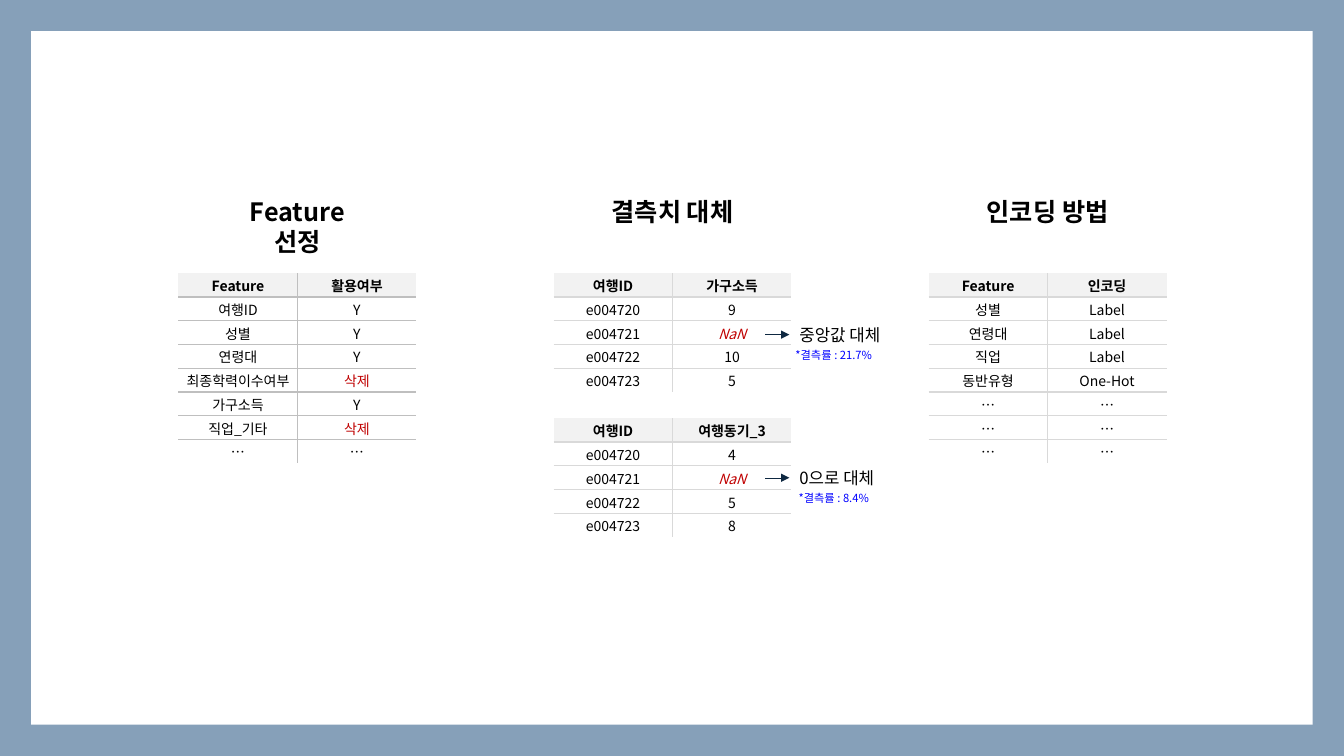
from pptx import Presentation
from pptx.dml.color import RGBColor
from pptx.enum.shapes import MSO_CONNECTOR, MSO_SHAPE
from pptx.enum.text import MSO_ANCHOR, MSO_AUTO_SIZE, PP_ALIGN
from pptx.oxml.ns import qn
from pptx.util import Inches, Pt
from lxml.etree import SubElement

FONT = "Noto Sans CJK KR"
WIDTH, HEIGHT, MARGIN = 13.33, 7.5, 0.31
LEFT, STEP, CELL_W = 1.77, 3.72, 1.18
ROW_H = CELL_W / 5
TABLE_TOP = 2.71
NO_STYLE = "{2D5ABB26-0587-4C30-8999-92F81FD0307C}"
CELL_FORMAT = {
    "vertical_anchor": MSO_ANCHOR.MIDDLE,
    "margin_left": Inches(0.01),
    "margin_right": Inches(0.01),
    "margin_top": Inches(0.01),
    "margin_bottom": 0,
}
RED_ITALIC = {"NaN": {"color": "C00000", "italic": True}, "삭제": {"color": "C00000"}}


def rgb(code):
    """Turn a hex string into a colour."""
    return RGBColor.from_string(code)


def column_left(column):
    """Give the left edge of one of the three columns."""
    return LEFT + STEP * column


def box(left, top, width, height):
    """Turn inches into a position and a size."""
    return [Inches(v) for v in (left, top, width, height)]


def write(tf, text, size, color="000000", align=PP_ALIGN.CENTER, **font):
    """Write one formatted paragraph into a text frame."""
    p = tf.paragraphs[0]
    p.alignment = align
    r = p.add_run()
    r.text = text
    r.font.color.rgb = rgb(color)
    for name, value in {"name": FONT, "size": Pt(size), **font}.items():
        setattr(r.font, name, value)
    SubElement(r.font._element, qn("a:ea"), typeface=FONT)


def add_text(s, place, text, size, wrap=False, **style):
    """Add a text box."""
    sp = s.shapes.add_textbox(*box(*place))
    sp.text_frame.word_wrap = wrap
    sp.text_frame.auto_size = MSO_AUTO_SIZE.NONE
    write(sp.text_frame, text, size, **style)
    return sp


def add_heading(s, column, text):
    """Add a bold heading centred over a column."""
    width = 1.61
    left = column_left(column) + CELL_W - width / 2
    add_text(s, (left, 1.9, width, 0.4), text, 18, wrap=True, bold=True)


def add_borders(cell, sides, color):
    """Draw one-point lines on the given sides of a cell."""
    tc_pr = cell._tc.get_or_add_tcPr()
    for side in sides:
        ln = SubElement(tc_pr, qn(f"a:ln{side}"), w=str(Pt(1)))
        fill = SubElement(ln, qn("a:solidFill"))
        SubElement(fill, qn("a:srgbClr"), val=color)


def add_grid(s, column, top, rows, color="D9D9D9"):
    """Add a two-column table that has inner lines only."""
    place = box(column_left(column), top, 2 * CELL_W, ROW_H * len(rows))
    table = s.shapes.add_table(len(rows), 2, *place).table
    table.horz_banding = False
    table._tbl.tblPr.find(qn("a:tableStyleId")).text = NO_STYLE
    for i, row in enumerate(rows):
        for j, text in enumerate(row):
            cell = table.cell(i, j)
            for name, value in CELL_FORMAT.items():
                setattr(cell, name, value)
            sides = ["L" if j else "R"]
            sides += ["T"] if i else []
            sides += ["B"] if i < len(rows) - 1 else []
            add_borders(cell, sides, color)
            if i == 0:
                cell.fill.solid()
                cell.fill.fore_color.rgb = rgb("F2F2F2")
            else:
                cell.fill.background()
            write(cell.text_frame, text, 10, bold=i == 0, **RED_ITALIC.get(text, {}))


def add_replacement(s, y, text, width, rate):
    """Add an arrow to a replacement label with the missing rate below."""
    start, end = 7.59, 7.83
    label = add_text(s, (end, y - 0.15, width, 0.3), text, 12, align=PP_ALIGN.LEFT)
    line = s.shapes.add_connector(
        MSO_CONNECTOR.STRAIGHT, *box(start, y, end, y))
    line.end_connect(label, 1)
    line.line.color.rgb = rgb("0E2841")
    line.line.width = Pt(0.25)
    SubElement(line.line._get_or_add_ln(), qn("a:tailEnd"), type="triangle")
    SubElement(line._element.spPr, qn("a:effectLst"))
    add_text(s, (7.73, y + 0.09, 1.08, 0.27), rate, 8, color="0000FF")


def add_frame(s):
    """Add the white panel on the blue background."""
    s.background.fill.solid()
    s.background.fill.fore_color.rgb = rgb("86A0B9")
    sp = s.shapes.add_shape(
        MSO_SHAPE.RECTANGLE,
        *box(MARGIN, MARGIN, WIDTH - 2 * MARGIN, HEIGHT - 2 * MARGIN))
    sp.shadow.inherit = False
    sp.fill.solid()
    sp.fill.fore_color.rgb = rgb("FFFFFF")
    sp.line.fill.background()


def add_missing_table(s, top, name, values):
    """Add a table of trip IDs with one missing value."""
    ids = [f"e00472{n}" for n in range(4)]
    add_grid(s, 1, top, [("여행ID", name), *zip(ids, values)])


def main():
    """Build the slide and save it."""
    prs = Presentation()
    prs.slide_width, prs.slide_height = Inches(WIDTH), Inches(HEIGHT)
    s = prs.slides.add_slide(prs.slide_layouts[6])
    add_frame(s)
    for column, text in enumerate(["Feature 선정", "결측치 대체", "인코딩 방법"]):
        add_heading(s, column, text)
    add_grid(s, 0, TABLE_TOP, [
        ("Feature", "활용여부"), ("여행ID", "Y"), ("성별", "Y"), ("연령대", "Y"),
        ("최종학력이수여부", "삭제"), ("가구소득", "Y"), ("직업_기타", "삭제"),
        ("…", "…"),
    ], "BFBFBF")
    add_missing_table(s, TABLE_TOP, "가구소득", ["9", "NaN", "10", "5"])
    add_missing_table(s, 4.15, "여행동기_3", ["4", "NaN", "5", "8"])
    add_grid(s, 2, TABLE_TOP, [
        ("Feature", "인코딩"), ("성별", "Label"), ("연령대", "Label"),
        ("직업", "Label"), ("동반유형", "One-Hot"), *[("…", "…")] * 3,
    ])
    add_replacement(s, 3.32, "중앙값 대체", 1.07, "*결측률 : 21.7%")
    add_replacement(s, 4.74, "0으로 대체", 1, "*결측률 : 8.4%")
    prs.save("out.pptx")


if __name__ == "__main__":
    main()
